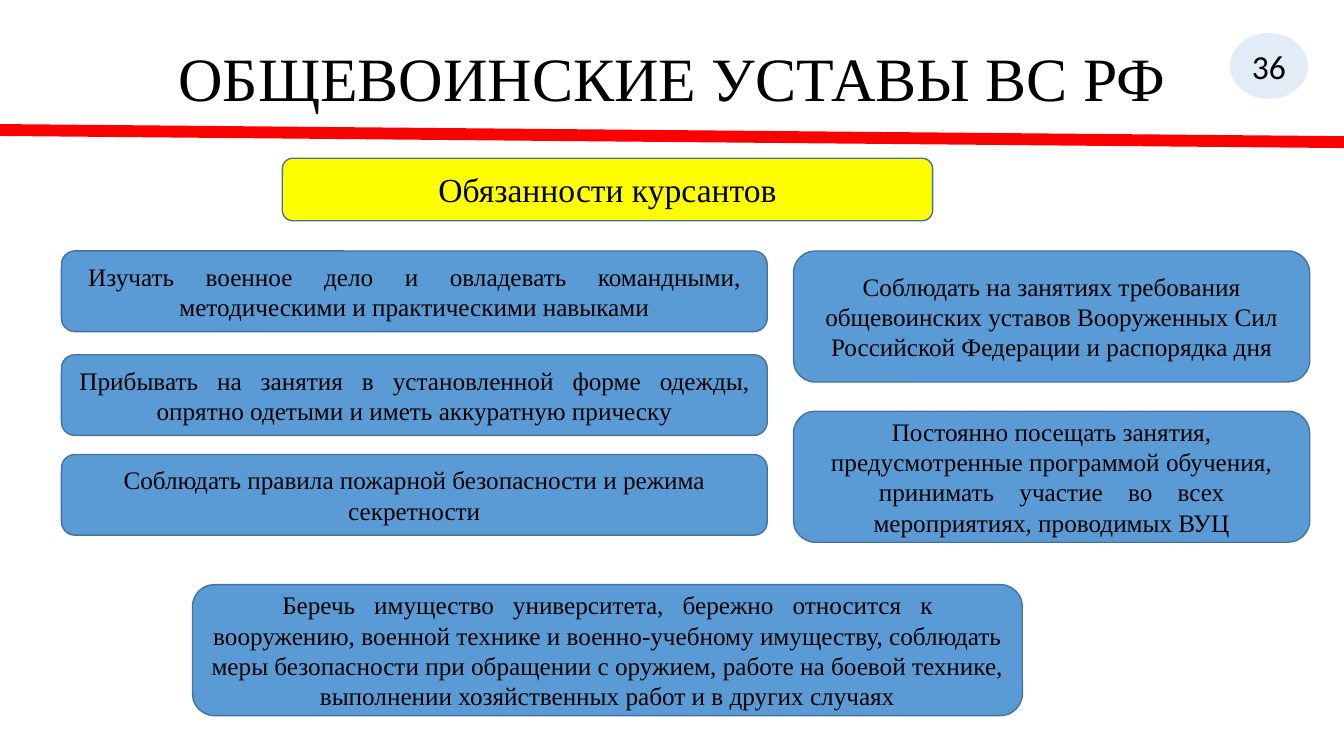
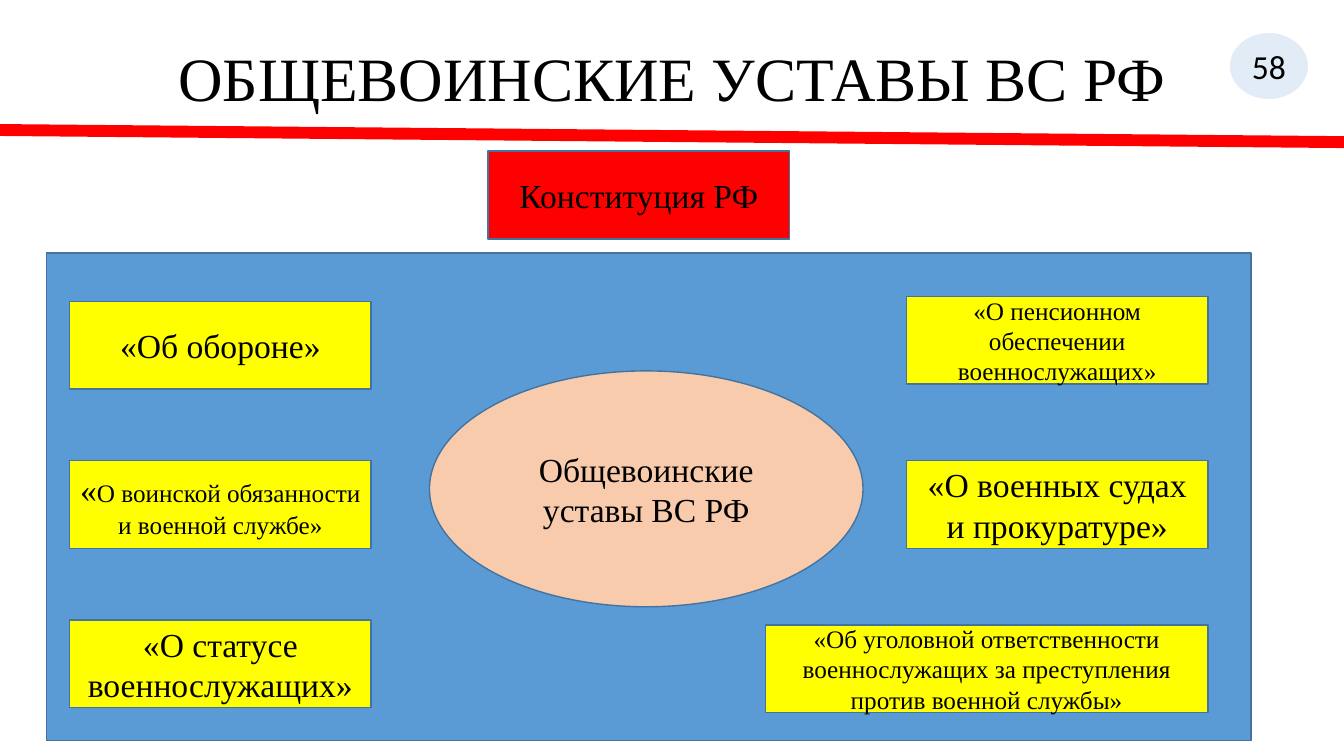
from lxml.etree import SubElement
from pptx import Presentation
from pptx.dml.color import RGBColor
from pptx.enum.shapes import MSO_CONNECTOR, MSO_SHAPE
from pptx.enum.text import MSO_ANCHOR, PP_ALIGN
from pptx.oxml.ns import qn
from pptx.util import Inches, Pt

BLUE, YELLOW, RED, PEACH = "5B9BD5", "FFFF00", "FF0000", "F8CBAD"
BLACK, WHITE, OUTLINE = "000000", "FFFFFF", "43739E"
SERIF, SANS = "Times New Roman", "Calibri"
HEADING = "ОБЩЕВОИНСКИЕ УСТАВЫ ВС РФ"


def paint(color_format, color):
    color_format.rgb = RGBColor.from_string(color)


def write(para, text, *, size=18, font=SERIF, color=BLACK, gap=0):
    for index, part in enumerate(text.split("|")):
        for piece in ([" "] if index else []) + [part]:
            span = para.add_run()
            span.text = piece
            span.font.size = Pt(size)
            span.font.name = font
            paint(span.font.color, color)
            if piece == " ":
                span.font._element.set("spc", str(round(gap * 100)))


class Deck:
    """Holds the shared style and the slide being built."""

    def __init__(self):
        self.deck = Presentation()
        self.deck.slide_width = Inches(13.33)
        self.deck.slide_height = Inches(7.5)
        self.page = None

    def start_page(self, number):
        self.page = self.deck.slides.add_slide(self.deck.slide_layouts[6])
        self.title(HEADING)
        self.rule()
        self.badge(number)

    def title(self, text):
        box = self.page.shapes.add_textbox(
            Inches(0.92), Inches(0.4), Inches(11.5), Inches(0.82))
        frame = box.text_frame
        frame.word_wrap = True
        frame.vertical_anchor = MSO_ANCHOR.MIDDLE
        para = frame.paragraphs[0]
        para.alignment = PP_ALIGN.CENTER
        para.line_spacing = 0.9
        write(para, text, size=44)

    def rule(self):
        line = self.page.shapes.add_connector(
            MSO_CONNECTOR.STRAIGHT, 0, Inches(1.29), Inches(13.33), Inches(1.41))
        paint(line.line.color, RED)
        line.line.width = Pt(8.5)
        SubElement(line._element.spPr, qn("a:effectLst"))

    def badge(self, number):
        box = self.shape(MSO_SHAPE.OVAL, 12.19, 0.32, 0.79, 0.67, BLUE, WHITE)
        fill_color = box._element.spPr.find(qn("a:solidFill"))[0]
        SubElement(fill_color, qn("a:alpha")).set("val", "18000")
        write(box.text_frame.paragraphs[0], str(number), size=24, font=SANS)

    def shape(self, kind, left, top, width, height, fill, outline=OUTLINE):
        box = self.page.shapes.add_shape(
            kind, Inches(left), Inches(top), Inches(width), Inches(height))
        box.shadow.inherit = False
        box.fill.solid()
        paint(box.fill.fore_color, fill)
        paint(box.line.color, outline)
        box.line.width = Pt(1)
        frame = box.text_frame
        frame.word_wrap = True
        frame.vertical_anchor = MSO_ANCHOR.MIDDLE
        frame.paragraphs[0].alignment = PP_ALIGN.CENTER
        return box

    def label(self, kind, left, top, width, height, fill, text, lead="", **style):
        box = self.shape(kind, left, top, width, height, fill)
        para = box.text_frame.paragraphs[0]
        if lead:
            write(para, lead, size=24)
        write(para, text, **style)

    def card(self, left, top, width, height, text, fill=BLUE, **style):
        self.label(MSO_SHAPE.ROUNDED_RECTANGLE,
                   left, top, width, height, fill, text, **style)

    def law(self, left, top, text, width=2.99, fill=YELLOW, **style):
        self.label(MSO_SHAPE.RECTANGLE, left, top, width, 0.87, fill, text, **style)


def build_duties(deck):
    deck.start_page(36)
    deck.card(2.8, 1.57, 6.45, 0.62, "Обязанности курсантов", YELLOW, size=24)
    left_cards = [
        (2.49, "Изучать|военное|дело|и|овладевать|командными, "
               "методическими и практическими навыками", 18),
        (3.52, "Прибывать|на|занятия|в|установленной|форме|одежды, "
               "опрятно одетыми и иметь аккуратную прическу", 9),
        (4.51, "Соблюдать правила пожарной безопасности и режима секретности", 0),
    ]
    for top, text, gap in left_cards:
        deck.card(0.61, top, 7, 0.8, text, gap=gap)
    right_cards = [
        (2.49, "Соблюдать на занятиях требования общевоинских уставов "
               "Вооруженных Сил Российской Федерации и распорядка дня", 0),
        (4.08, "Постоянно посещать занятия, предусмотренные программой "
               "обучения,|принимать|участие|во|всех|мероприятиях, "
               "проводимых ВУЦ", 13.5),
    ]
    for top, text, gap in right_cards:
        deck.card(7.87, top, 5.12, 1.3, text, gap=gap)
    deck.card(1.91, 5.8, 8.23, 1.3,
              "Беречь|имущество|университета,|бережно|относится|к "
              "вооружению, военной технике и военно-учебному имуществу, "
              "соблюдать меры безопасности при обращении с оружием, работе на "
              "боевой технике, выполнении хозяйственных работ и в других случаях",
              gap=9)


def build_laws(deck):
    deck.start_page(58)
    deck.shape(MSO_SHAPE.RECTANGLE, 0.46, 2.51, 11.95, 4.84, BLUE)
    deck.law(4.84, 1.5, "Конституция РФ", fill=RED, size=24)
    deck.label(MSO_SHAPE.OVAL, 4.26, 3.68, 4.3, 2.34, PEACH,
               "Общевоинские уставы ВС РФ", size=24)
    left_laws = [
        ("«Об обороне»", {"size": 24}),
        ("О воинской обязанности и военной службе»", {"lead": "«"}),
        ("«О статусе военнослужащих»", {"size": 24}),
    ]
    right_laws = [
        ("«О пенсионном обеспечении военнослужащих»", {}),
        ("«О военных судах и прокуратуре»", {"size": 24}),
        ("«Об уголовной ответственности военнослужащих за преступления "
         "против военной службы»", {"width": 4.39}),
    ]
    for row, (text, style) in enumerate(left_laws):
        deck.law(0.69, 2.99 + 1.58 * row, text, **style)
    for row, (text, style) in enumerate(right_laws):
        left = 11.98 - style.get("width", 2.99)
        deck.law(left, 2.94 + 1.63 * row, text, **style)


def main():
    deck = Deck()
    build_duties(deck)
    build_laws(deck)
    deck.deck.save("out.pptx")


if __name__ == "__main__":
    main()
